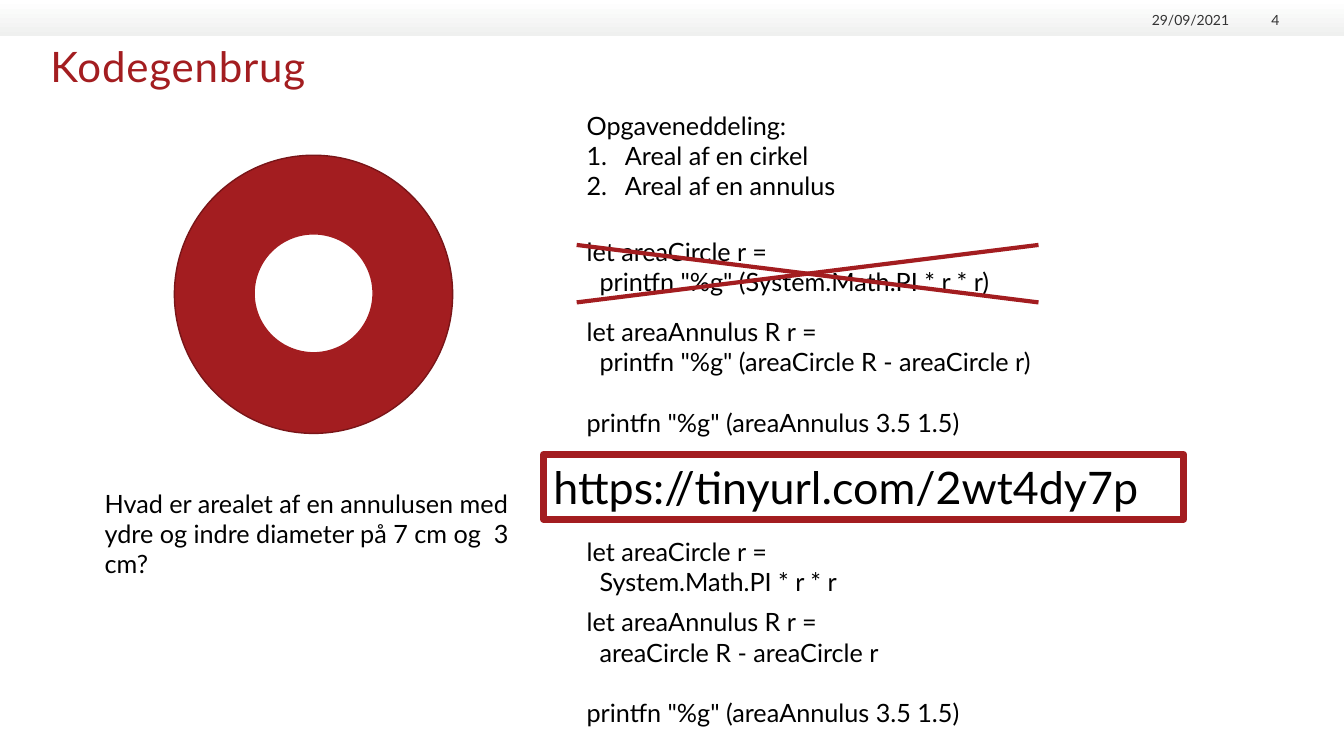
from dataclasses import dataclass

import lxml.etree
import pptx
import pptx.dml.color
import pptx.enum.shapes
import pptx.enum.text
import pptx.oxml.ns
import pptx.util

Inches = pptx.util.Inches
Pt = pptx.util.Pt
Shape = pptx.enum.shapes.MSO_SHAPE
Align = pptx.enum.text.PP_ALIGN
Anchor = pptx.enum.text.MSO_ANCHOR

FONT = "Lato"
COLOURS = {
    "red": "A31D20",
    "dark_red": "791518",
    "white": "FFFFFF",
    "band_end": "EFF0EF",
    "grey": "333333",
    "black": "000000",
}
CODE_LEFT = 5.72
CODE_WIDTH = 4.98
BLANK_LINE = 21.6


@dataclass
class Line:
    text: str
    before: float = 0
    numbered: bool = False


@dataclass
class Note:
    left: float
    top: float
    width: float
    height: float
    lines: list[Line]
    wrap: bool = True


@dataclass
class Disc:
    left: float
    top: float
    size: float
    fill: str
    outline: str


@dataclass
class Stamp:
    left: float
    width: float
    text: str


@dataclass
class Stroke:
    start: float
    end: float


RESULT = Line('printfn "%g" (areaAnnulus 3.5 1.5)', before=BLANK_LINE)
NOTES = [
    Note(0.94, 4.79, 4.28, 1.01, [
        Line("Hvad er arealet af en annulusen med ydre og indre diameter på 7 cm og  3 cm?"),
    ]),
    Note(CODE_LEFT, 1.04, 2.7, 1.01, [
        Line("Opgaveneddeling:"),
        Line("Areal af en cirkel", numbered=True),
        Line("Areal af en annulus", numbered=True),
    ], wrap=False),
    Note(CODE_LEFT, 2.29, CODE_WIDTH, 0.71, [
        Line("let areaCircle r ="),
        Line('  printfn "%g" (System.Math.PI * r * r)'),
    ]),
    Note(CODE_LEFT, 3.09, CODE_WIDTH, 1.31, [
        Line("let areaAnnulus R r ="),
        Line('  printfn "%g" (areaCircle R - areaCircle r)'),
        RESULT,
    ]),
    Note(CODE_LEFT, 5.27, CODE_WIDTH, 0.71, [
        Line("let areaCircle r ="),
        Line("  System.Math.PI * r * r"),
    ]),
    Note(CODE_LEFT, 5.97, CODE_WIDTH, 1.31, [
        Line("let areaAnnulus R r ="),
        Line("  areaCircle R - areaCircle r"),
        RESULT,
    ]),
]
DISCS = [
    Disc(1.73, 1.54, 2.76, "red", "dark_red"),
    Disc(2.52, 2.32, 1.18, "white", "red"),
]
STAMPS = [Stamp(11.3, 0.89, "29/09/2021"), Stamp(12.27, 0.42, "4")]
STROKES = [Stroke(2.43, 3), Stroke(3, 2.43)]


def colour(name: str) -> pptx.dml.color.RGBColor:
    return pptx.dml.color.RGBColor.from_string(COLOURS[name])


def add_span(para, text: str, size: float, tint: str):
    span = para.add_run()
    span.text = text
    span.font.name = FONT
    span.font.size = Pt(size)
    span.font.color.rgb = colour(tint)
    return span


def clear_insets(frame) -> None:
    frame.margin_left = frame.margin_right = 0
    frame.margin_top = frame.margin_bottom = 0


def number_paragraph(para) -> None:
    properties = para._p.get_or_add_pPr()
    properties.set("marL", str(Inches(0.38)))
    properties.set("indent", str(Inches(-0.38)))
    bullet = lxml.etree.SubElement(properties, pptx.oxml.ns.qn("a:buAutoNum"))
    bullet.set("type", "arabicPeriod")


def add_shape(page, kind, left: float, top: float, width: float, height: float):
    shape = page.shapes.add_shape(
        kind, Inches(left), Inches(top), Inches(width), Inches(height))
    shape.shadow.inherit = False
    return shape


def add_band(page) -> None:
    band = add_shape(page, Shape.RECTANGLE, 0, 0, 13.33, 0.36)
    band.line.fill.background()
    band.fill.gradient()
    band.fill.gradient_angle = 270
    for stop, name in zip(band.fill.gradient_stops, ("white", "band_end")):
        stop.color.rgb = colour(name)


def add_stamp(page, stamp: Stamp) -> None:
    box = page.shapes.add_textbox(
        Inches(stamp.left), Inches(0.09), Inches(stamp.width), Inches(0.19))
    frame = box.text_frame
    clear_insets(frame)
    frame.word_wrap = True
    frame.vertical_anchor = Anchor.BOTTOM
    para = frame.paragraphs[0]
    para.alignment = Align.RIGHT
    add_span(para, stamp.text, 10, "grey")


def set_title(page, text: str) -> None:
    title = page.shapes.title
    title.left, title.top = Inches(0.5), Inches(0.4)
    title.width, title.height = Inches(11.5), Inches(0.44)
    frame = title.text_frame
    clear_insets(frame)
    frame.auto_size = pptx.enum.text.MSO_AUTO_SIZE.NONE
    frame.vertical_anchor = Anchor.TOP
    para = frame.paragraphs[0]
    para.alignment = Align.LEFT
    span = add_span(para, text, 30, "red")
    span.font._element.set("spc", "60")


def add_disc(page, disc: Disc) -> None:
    shape = add_shape(page, Shape.OVAL, disc.left, disc.top, disc.size, disc.size)
    shape.fill.solid()
    shape.fill.fore_color.rgb = colour(disc.fill)
    shape.line.color.rgb = colour(disc.outline)
    shape.line.width = Pt(1)


def add_note(page, note: Note) -> None:
    box = page.shapes.add_textbox(
        Inches(note.left), Inches(note.top), Inches(note.width), Inches(note.height))
    frame = box.text_frame
    frame.word_wrap = note.wrap
    for index, line in enumerate(note.lines):
        para = frame.add_paragraph() if index else frame.paragraphs[0]
        if line.before:
            para.space_before = Pt(line.before)
        if line.numbered:
            number_paragraph(para)
        add_span(para, line.text, 18, "black")


def add_stroke(page, stroke: Stroke) -> None:
    connector = page.shapes.add_connector(
        pptx.enum.shapes.MSO_CONNECTOR.STRAIGHT,
        Inches(CODE_LEFT), Inches(stroke.start), Inches(10.3), Inches(stroke.end))
    connector.line.color.rgb = colour("red")
    connector.line.width = Pt(3)
    lxml.etree.SubElement(connector._element.spPr, pptx.oxml.ns.qn("a:effectLst"))


def add_link_frame(page, text: str) -> None:
    shape = add_shape(page, Shape.RECTANGLE, 5.39, 4.51, 6.35, 0.64)
    shape.fill.background()
    shape.line.color.rgb = colour("red")
    shape.line.width = Pt(5)
    outline = shape._element.spPr.find(pptx.oxml.ns.qn("a:ln"))
    lxml.etree.SubElement(outline, pptx.oxml.ns.qn("a:round"))
    frame = shape.text_frame
    frame.word_wrap = True
    frame.vertical_anchor = Anchor.TOP
    para = frame.paragraphs[0]
    para.alignment = Align.LEFT
    add_span(para, text, 32, "black")


def main() -> None:
    deck = pptx.Presentation()
    deck.slide_width, deck.slide_height = Inches(13.33), Inches(7.5)
    page = deck.slides.add_slide(deck.slide_layouts[5])
    add_band(page)
    set_title(page, "Kodegenbrug")
    for draw, items in ((add_stamp, STAMPS), (add_disc, DISCS),
                        (add_note, NOTES), (add_stroke, STROKES)):
        for item in items:
            draw(page, item)
    add_link_frame(page, "https://tinyurl.com/2wt4dy7p")
    deck.save("out.pptx")


if __name__ == "__main__":
    main()
